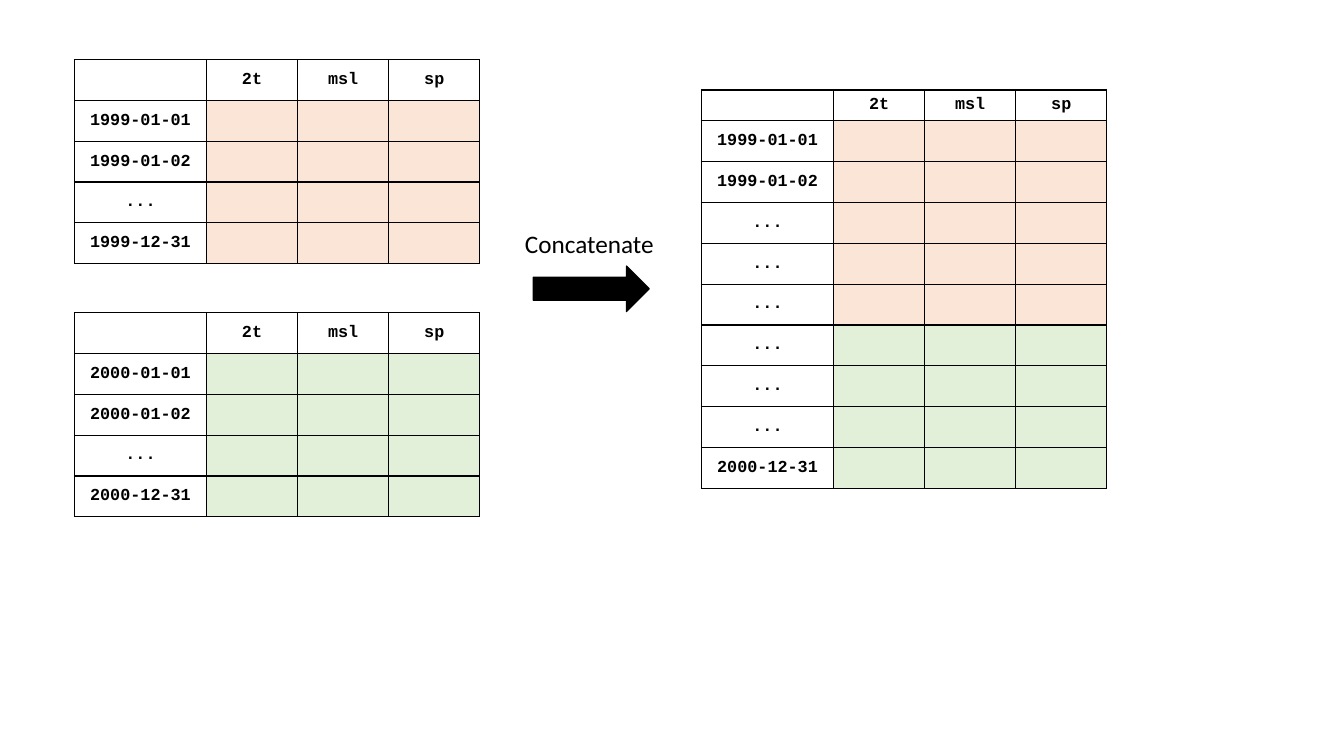
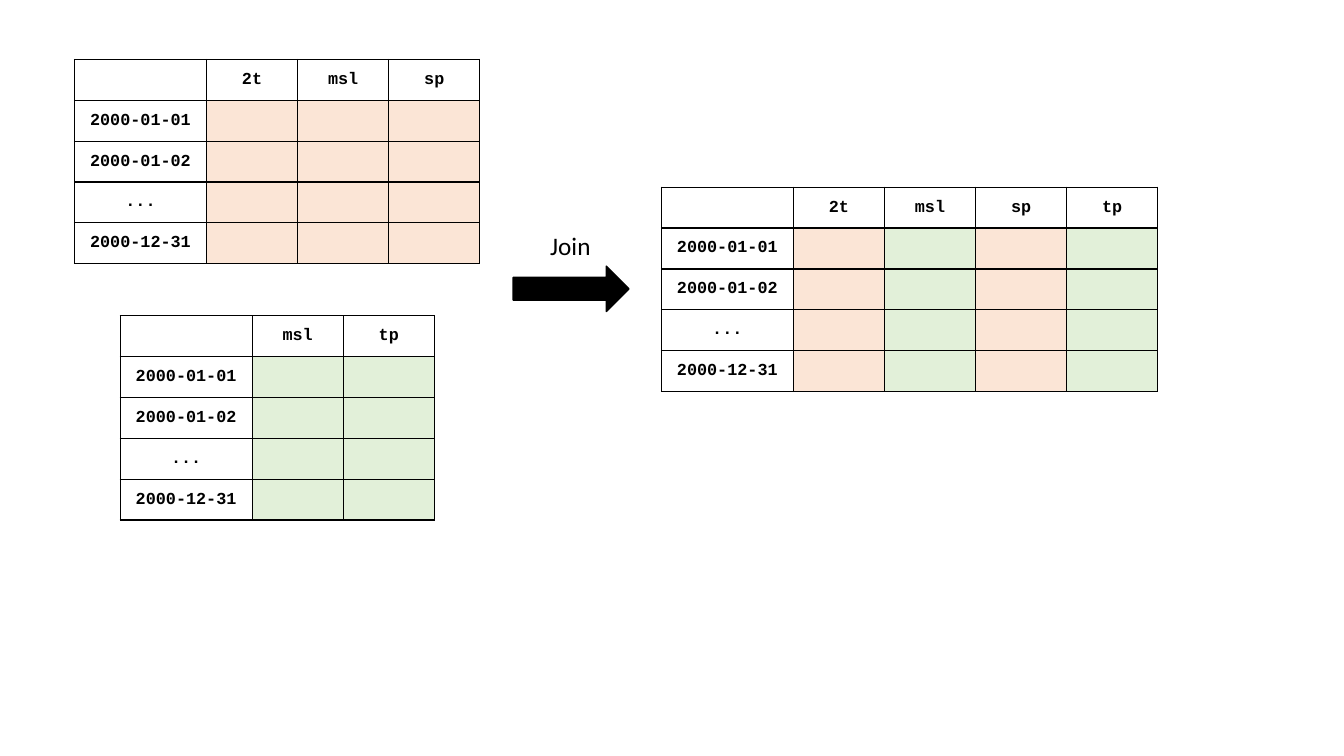
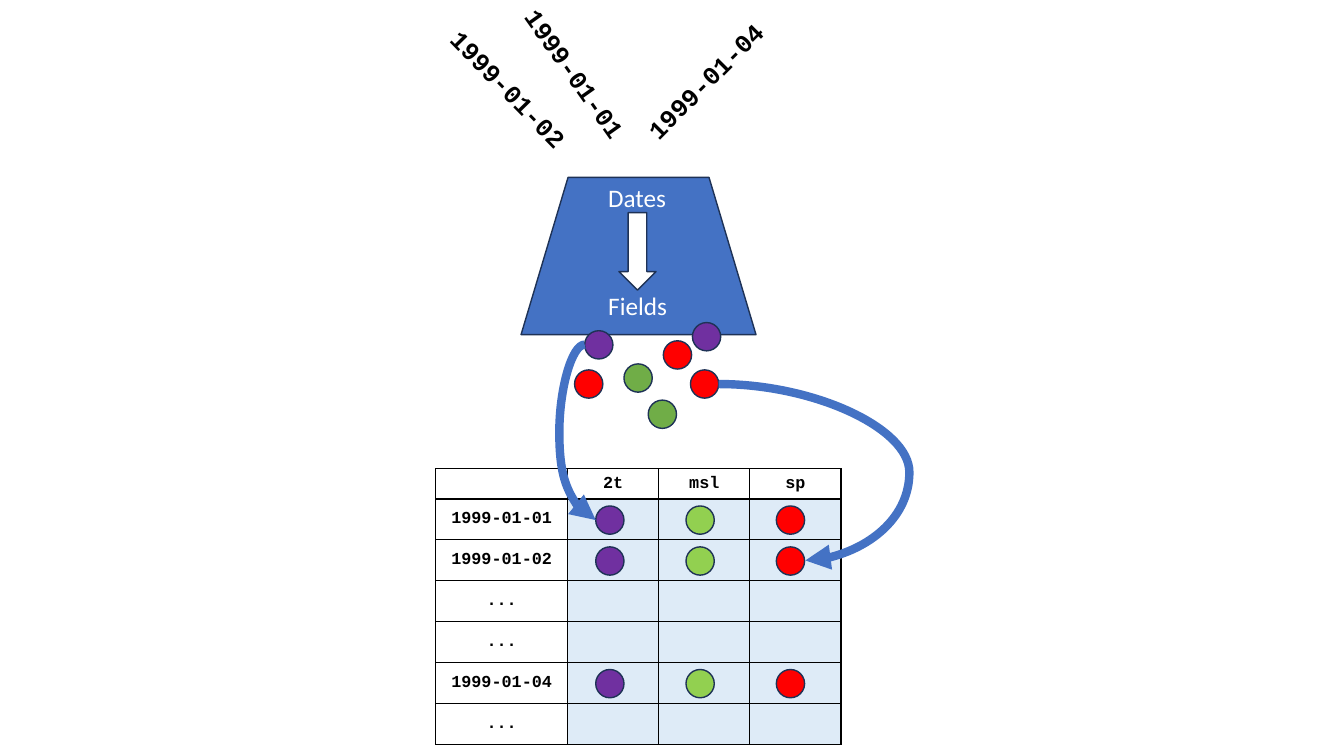
from dataclasses import dataclass
from itertools import product

from lxml.etree import SubElement
from pptx import Presentation
from pptx.dml.color import RGBColor
from pptx.enum.shapes import MSO_CONNECTOR, MSO_SHAPE as SHAPE
from pptx.enum.text import MSO_ANCHOR as ANCHOR, MSO_AUTO_SIZE as AUTO, PP_ALIGN as ALIGN
from pptx.oxml.ns import qn
from pptx.util import Pt

BLACK, WHITE = "000000", "FFFFFF"
PEACH, MINT, SKY = "FBE5D6", "E2F0D9", "DEEBF7"
BLUE, NAVY = "4472C4", "1E3256"
PURPLE, GREEN, LIME, RED = "7030A0", "70AD47", "92D050", "FF0000"

SANS, MONO = "Calibri", "Courier New"
LABEL_W, FIELD_W, ROW_H, SHORT_H = 94.3, 65.1, 29.2, 20.8
TEXT_H, DOT = 29, 20.2
DOTS = "..."


@dataclass
class Grid:
    left: float
    top: float
    fields: list
    labels: list
    fills: list
    header_h: float = ROW_H


@dataclass
class Label:
    text: str
    left: float
    top: float
    width: float
    font: str = SANS
    color: str = BLACK
    bold: bool = False
    align: ALIGN = ALIGN.CENTER
    rotation: float = 0


@dataclass
class Block:
    kind: SHAPE
    left: float
    top: float
    width: float
    height: float
    fill: str
    line: str = NAVY
    rotation: float = 0


@dataclass
class Curve:
    begin: tuple
    end: tuple
    bend: float


def rgb(color: str) -> RGBColor:
    return RGBColor.from_string(color)


def assign(target, values: dict) -> None:
    for name, value in values.items():
        setattr(target, name, value)


def write(p, text: str, font: str, size: float, color: str, bold: bool) -> None:
    r = p.add_run()
    r.text = text
    assign(r.font, {"name": font, "size": Pt(size), "bold": bold})
    r.font.color.rgb = rgb(color)


def add_borders(cell) -> None:
    tc_pr = cell._tc.get_or_add_tcPr()
    for side in ("lnL", "lnR", "lnT", "lnB"):
        ln = SubElement(tc_pr, qn(f"a:{side}"), w=str(Pt(1)))
        fill = SubElement(ln, qn("a:solidFill"))
        SubElement(fill, qn("a:srgbClr"), val=BLACK)


def format_cell(cell, text: str, fill: str | None) -> None:
    add_borders(cell)
    cell.vertical_anchor = ANCHOR.MIDDLE
    if fill:
        cell.fill.solid()
        cell.fill.fore_color.rgb = rgb(fill)
    else:
        cell.fill.background()
    p = cell.text_frame.paragraphs[0]
    p.alignment = ALIGN.CENTER
    if text:
        write(p, text, MONO, 12, BLACK, True)
    else:
        p._p.get_or_add_endParaRPr().set("sz", "1200")


def draw_grid(s, grid: Grid) -> None:
    widths = [LABEL_W] + [FIELD_W] * len(grid.fields)
    heights = [grid.header_h] + [ROW_H] * len(grid.labels)
    table = s.shapes.add_table(
        len(heights), len(widths), Pt(grid.left), Pt(grid.top), Pt(sum(widths)), Pt(sum(heights))
    ).table
    assign(table, {"first_row": False, "horz_banding": False})
    for column, width in zip(table.columns, widths):
        column.width = Pt(width)
    for row, height in zip(table.rows, heights):
        row.height = Pt(height)
    for i, field in enumerate(["", *grid.fields]):
        format_cell(table.cell(0, i), field, None)
    for i, (label, fills) in enumerate(zip(grid.labels, grid.fills), 1):
        format_cell(table.cell(i, 0), label, None)
        for j, fill in enumerate(fills, 1):
            format_cell(table.cell(i, j), "", fill)


def draw_label(s, label: Label) -> None:
    sp = s.shapes.add_textbox(Pt(label.left), Pt(label.top), Pt(label.width), Pt(TEXT_H))
    sp.rotation = label.rotation
    tf = sp.text_frame
    assign(tf, {"word_wrap": False, "auto_size": AUTO.SHAPE_TO_FIT_TEXT})
    p = tf.paragraphs[0]
    p.alignment = label.align
    write(p, label.text, label.font, 18, label.color, label.bold)


def draw_block(s, block: Block) -> None:
    sp = s.shapes.add_shape(
        block.kind, Pt(block.left), Pt(block.top), Pt(block.width), Pt(block.height)
    )
    sp.rotation = block.rotation
    sp.shadow.inherit = False
    sp.fill.solid()
    sp.fill.fore_color.rgb = rgb(block.fill)
    sp.line.color.rgb = rgb(block.line)
    sp.line.width = Pt(1)


def draw_curve(s, curve: Curve) -> None:
    sp = s.shapes.add_connector(MSO_CONNECTOR.CURVE, *map(Pt, curve.begin + curve.end))
    sp.line.color.rgb = rgb(BLUE)
    sp.line.width = Pt(6)
    sp_pr = sp._element.spPr
    SubElement(sp_pr.find(qn("a:ln")), qn("a:tailEnd"), type="triangle")
    SubElement(sp_pr, qn("a:effectLst"))
    guides = sp_pr.find(qn("a:prstGeom")).get_or_add_avLst()
    SubElement(guides, qn("a:gd"), name="adj1", fmla=f"val {round(curve.bend * 100000)}")


DRAW = {Grid: draw_grid, Label: draw_label, Block: draw_block, Curve: draw_curve}


def right_arrow(left: float) -> Block:
    return Block(SHAPE.RIGHT_ARROW, left, 190.1, 82.8, 32.4, BLACK, BLACK)


def dot(left: float, top: float, color: str) -> Block:
    return Block(SHAPE.OVAL, left, top, DOT, DOT, color)


def date(text: str, left: float, top: float, rotation: float) -> Label:
    return Label(text, left, top, 123.1, MONO, bold=True, rotation=rotation)


def year_days(year: int) -> list:
    return [f"{year}-01-01", f"{year}-01-02", DOTS, f"{year}-12-31"]


def concatenate_slide() -> list:
    fields = ["2t", "msl", "sp"]
    joined_days = ["1999-01-01", "1999-01-02", *[DOTS] * 6, "2000-12-31"]
    return [
        Grid(53.2, 42.4, fields, year_days(1999), [[PEACH] * 3] * 4),
        Grid(53.2, 223.2, fields, year_days(2000), [[MINT] * 3] * 4),
        Grid(501.1, 64.3, fields, joined_days, [[PEACH] * 3] * 5 + [[MINT] * 3] * 4, SHORT_H),
        Label("Concatenate", 367.9, 159.8, 107.3, align=ALIGN.LEFT),
        right_arrow(380.9),
    ]


def join_slide() -> list:
    days = year_days(2000)
    return [
        Grid(53.2, 42.4, ["2t", "msl", "sp"], days, [[PEACH] * 3] * 4),
        Grid(85.8, 225.5, ["msl", "tp"], days, [[MINT] * 2] * 4),
        Label("Join", 385.9, 161.3, 43.9, align=ALIGN.LEFT),
        right_arrow(366.5),
        Grid(472.4, 133.7, ["2t", "msl", "sp", "tp"], days, [[PEACH, MINT] * 2] * 4),
    ]


def fields_slide() -> list:
    days = ["1999-01-01", "1999-01-02", DOTS, DOTS, "1999-01-04", DOTS]
    filled_rows = [i for i, day in enumerate(days) if day != DOTS]
    cell_dots = [
        dot(425.5 + 64.5 * column, 361.4 + ROW_H * row, color)
        for row, (column, color) in product(filled_rows, enumerate([PURPLE, LIME, RED]))
    ]
    return [
        Grid(311.2, 334.8, ["2t", "msl", "sp"], days, [[SKY] * 3] * 6, SHORT_H),
        Block(SHAPE.FLOWCHART_MANUAL_OPERATION, 372.2, 126.7, 167.8, 112.3, BLUE, rotation=180),
        date("1999-01-01", 349.2, 38.2, 54.7),
        date("1999-01-02", 301.7, 49, 45.7),
        date("1999-01-04", 442.1, 43.2, 314.8),
        dot(417.6, 236.2, PURPLE),
        dot(445.7, 259.9, GREEN),
        dot(473.8, 243.4, RED),
        dot(493.2, 264.2, RED),
        *cell_dots,
        Curve((513.4, 274.3), (575.3, 400.3), 2.2),
        Label("Dates", 427, 126.7, 56.2, color=WHITE),
        Label("Fields", 427, 203.8, 56.9, color=WHITE),
        Block(SHAPE.DOWN_ARROW, 442.1, 151.9, 26.6, 55.4, WHITE),
        dot(463, 285.8, GREEN),
        dot(494.6, 230.4, PURPLE),
        dot(410.4, 264.2, RED),
        Curve((417.6, 246.2), (425.5, 371.5), -2.29),
    ]


def main() -> None:
    prs = Presentation()
    assign(prs, {"slide_width": Pt(960), "slide_height": Pt(540)})
    for items in (concatenate_slide(), join_slide(), fields_slide()):
        s = prs.slides.add_slide(prs.slide_layouts[6])
        for item in items:
            DRAW[type(item)](s, item)
    prs.save("out.pptx")


if __name__ == "__main__":
    main()
